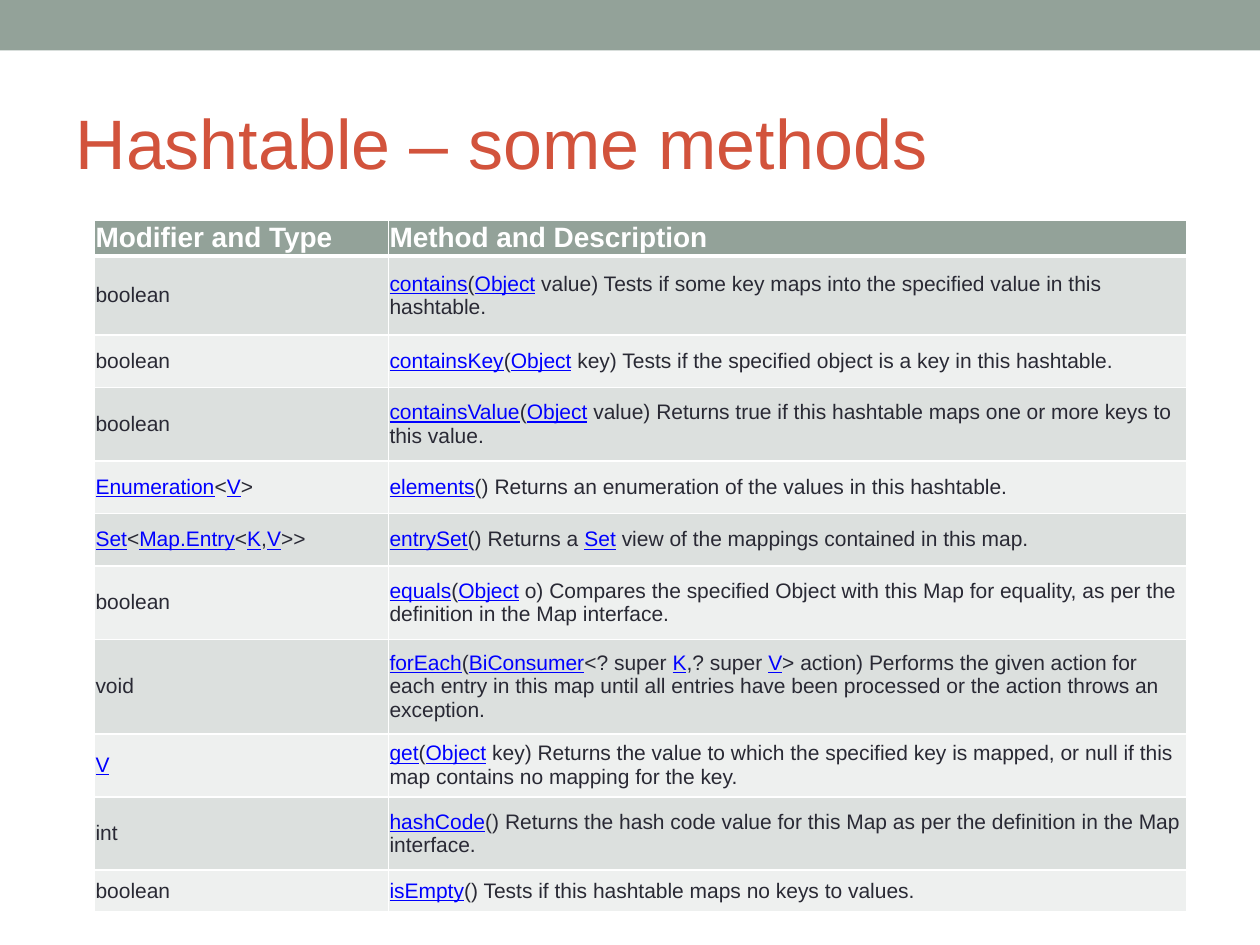
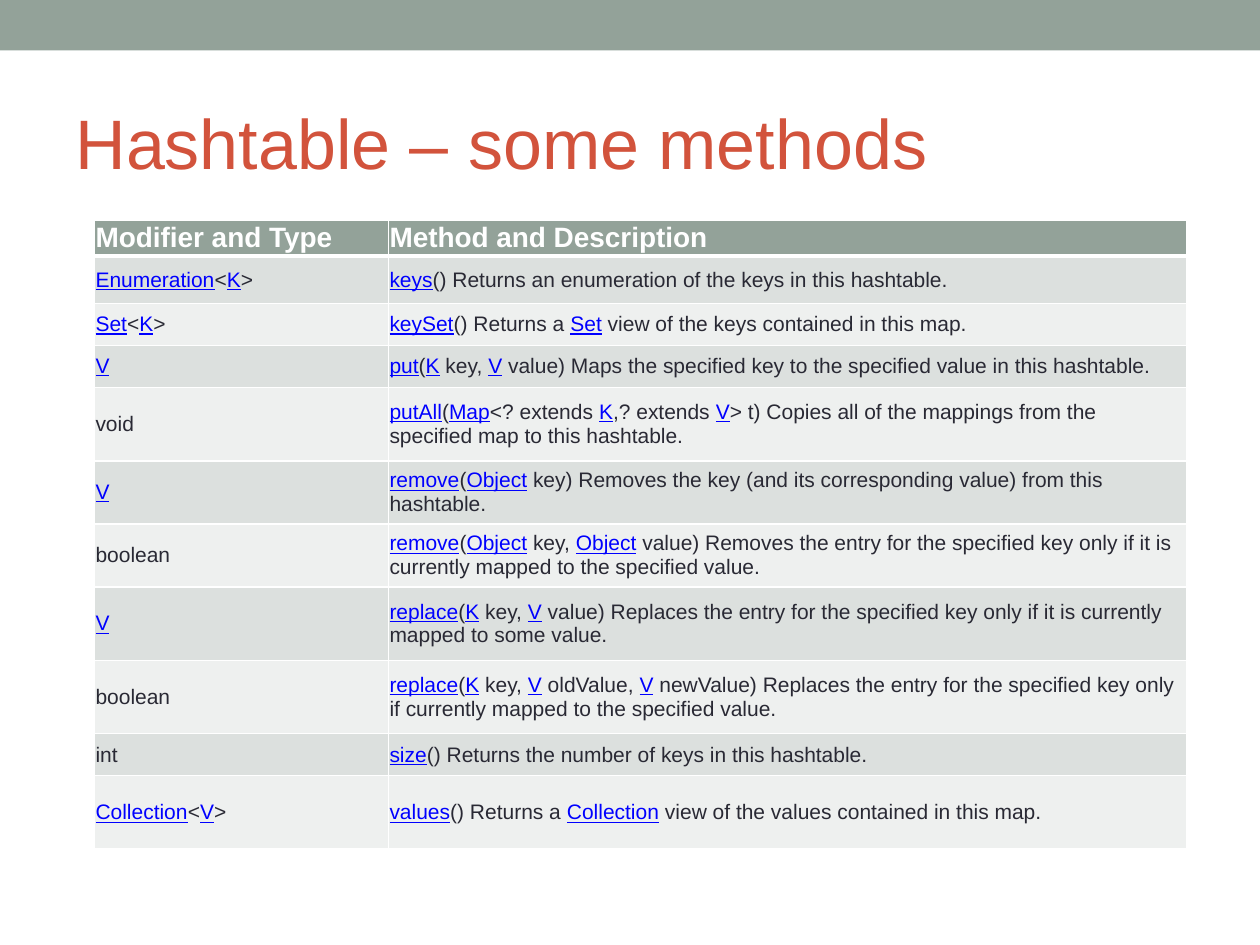
from dataclasses import dataclass

from lxml.etree import SubElement as Sub
from pptx import Presentation as Deck
from pptx.dml.color import RGBColor as RGB
from pptx.enum.shapes import MSO_SHAPE as Kind
from pptx.enum.text import MSO_ANCHOR as Anchor, PP_ALIGN as Align
from pptx.oxml.ns import qn
from pptx.util import Emu, Pt

SCALE = 7620
WIDE, HIGH = 1200, 900


def px(num):
    return Emu(num * SCALE)


@dataclass(frozen=True)
class Theme:
    font: str = "Arial"
    sage: str = "93A299"
    rust: str = "D2533C"
    ink: str = "292934"
    link: str = "0000FF"
    white: str = "FFFFFF"
    bands: tuple = ("DCE0DE", "EEF0EF")
    title: int = 40
    head: int = 16
    body: int = 12
    thin: int = 1
    thick: int = 3


class Maker:
    def __init__(self, theme):
        self.theme = theme
        self.deck = Deck()
        self.deck.slide_width, self.deck.slide_height = px(WIDE), px(HIGH)
        self.slide = None

    def page(self, title):
        self.slide = self.deck.slides.add_slide(self.deck.slide_layouts[5])
        self.band()
        self.title(title)

    def band(self):
        bar = self.slide.shapes.add_shape(Kind.RECTANGLE, 0, 0, px(WIDE), px(48))
        bar.shadow.inherit = False
        self.fill(bar, self.theme.sage)
        bar.line.fill.background()

    def title(self, text):
        box = self.slide.shapes.title
        box.left, box.top, box.width, box.height = map(px, (60, 70, 1080, 130))
        frame = box.text_frame
        frame.text = text
        frame.vertical_anchor = Anchor.MIDDLE
        self.inset(frame, 12)
        para = frame.paragraphs[0]
        para.alignment = Align.LEFT
        self.style(para.runs[0], self.theme.title, self.theme.rust)

    def table(self, rows):
        cols = (280, 760)
        highs = [high for high, *_ in rows]
        grid = self.slide.shapes.add_table(
            len(rows), len(cols), px(90), px(210), px(sum(cols)), px(sum(highs))
        ).table
        grid.horz_banding = False
        for col, wide in zip(grid.columns, cols):
            col.width = px(wide)
        for i, (high, *texts) in enumerate(rows):
            grid.rows[i].height = px(high)
            for j, text in enumerate(texts):
                self.cell(grid.cell(i, j), text, i)

    def cell(self, cell, text, row):
        look = self.theme
        cell.vertical_anchor = Anchor.MIDDLE
        self.inset(cell, 1)
        self.edges(cell, row)
        self.fill(cell, look.bands[(row - 1) % 2] if row else look.sage)
        para = cell.text_frame.paragraphs[0]
        parts = text.replace("~", chr(160)).replace("]", "[").split("[")
        for i, part in enumerate(parts):
            if not part:
                continue
            run = para.add_run()
            run.text = part
            if row == 0:
                self.style(run, look.head, look.white, bold=True)
            elif i % 2:
                self.style(run, look.body, look.link, under=True)
            else:
                self.style(run, look.body, look.ink)

    def edges(self, cell, row):
        look = self.theme
        props = cell._tc.get_or_add_tcPr()
        for side in "LRTB":
            heavy = (row, side) in ((0, "B"), (1, "T"))
            size = Pt(look.thick if heavy else look.thin)
            line = Sub(props, qn(f"a:ln{side}"), w=str(size))
            Sub(Sub(line, qn("a:solidFill")), qn("a:srgbClr"), val=look.white)

    def fill(self, item, color):
        item.fill.solid()
        item.fill.fore_color.rgb = RGB.from_string(color)

    def inset(self, item, gap):
        item.margin_left = item.margin_right = px(gap)
        item.margin_top = item.margin_bottom = px(gap)

    def style(self, run, size, color, bold=False, under=False):
        font = run.font
        font.name, font.size = self.theme.font, Pt(size)
        font.bold, font.underline = bold, under
        font.color.rgb = RGB.from_string(color)


TITLE = "Hashtable – some methods"
HEAD = (34, "Modifier and Type", "Method and Description")

QUERY = [
    (75, "boolean", "[contains]([Object]~value) Tests if some key maps into the "
     "specified value in this hashtable."),
    (50, "boolean", "[containsKey]([Object]~key) Tests if the specified object is "
     "a key in this hashtable."),
    (70, "boolean", "[containsValue]([Object]~value) Returns true if this hashtable "
     "maps one or more keys to this value."),
    (50, "[Enumeration]<[V]>", "[elements]() Returns an enumeration of the values "
     "in this hashtable."),
    (50, "[Set]<[Map.Entry]<[K],[V]>>", "[entrySet]() Returns a [Set] view of the "
     "mappings contained in this map."),
    (70, "boolean", "[equals]([Object]~o) Compares the specified Object with this "
     "Map for equality, as per the definition in the Map interface."),
    (90, "void", "[forEach]([BiConsumer]<? super [K],? super [V]>~action) Performs "
     "the given action for each entry in this map until all entries have been "
     "processed or the action throws an exception."),
    (60, "[V]", "[get]([Object]~key) Returns the value to which the specified key "
     "is mapped, or null if this map contains no mapping for the key."),
    (70, "int", "[hashCode]() Returns the hash code value for this Map as per the "
     "definition in the Map interface."),
    (40, "boolean", "[isEmpty]() Tests if this hashtable maps no keys to values."),
]

UPDATE = [
    (45, "[Enumeration]<[K]>", "[keys]() Returns an enumeration of the keys in this "
     "hashtable."),
    (40, "[Set]<[K]>", "[keySet]() Returns a [Set] view of the keys contained in "
     "this map."),
    (40, "[V]", "[put]([K]~key, [V]~value) Maps the specified key to the specified "
     "value in this hashtable."),
    (70, "void", "[putAll]([Map]<? extends [K],? extends [V]>~t) Copies all of the "
     "mappings from the specified map to this hashtable."),
    (60, "[V]", "[remove]([Object]~key) Removes the key (and its corresponding "
     "value) from this hashtable."),
    (60, "boolean", "[remove]([Object]~key, [Object]~value) Removes the entry for "
     "the specified key only if it is currently mapped to the specified value."),
    (70, "[V]", "[replace]([K]~key, [V]~value) Replaces the entry for the specified "
     "key only if it is currently mapped to some value."),
    (70, "boolean", "[replace]([K]~key, [V]~oldValue, [V]~newValue) Replaces the "
     "entry for the specified key only if currently mapped to the specified value."),
    (40, "int", "[size]() Returns the number of keys in this hashtable."),
    (70, "[Collection]<[V]>", "[values]() Returns a [Collection] view of the values "
     "contained in this map."),
]


def main():
    maker = Maker(Theme())
    for rows in (QUERY, UPDATE):
        maker.page(TITLE)
        maker.table([HEAD, *rows])
    maker.deck.save("out.pptx")


if __name__ == "__main__":
    main()
